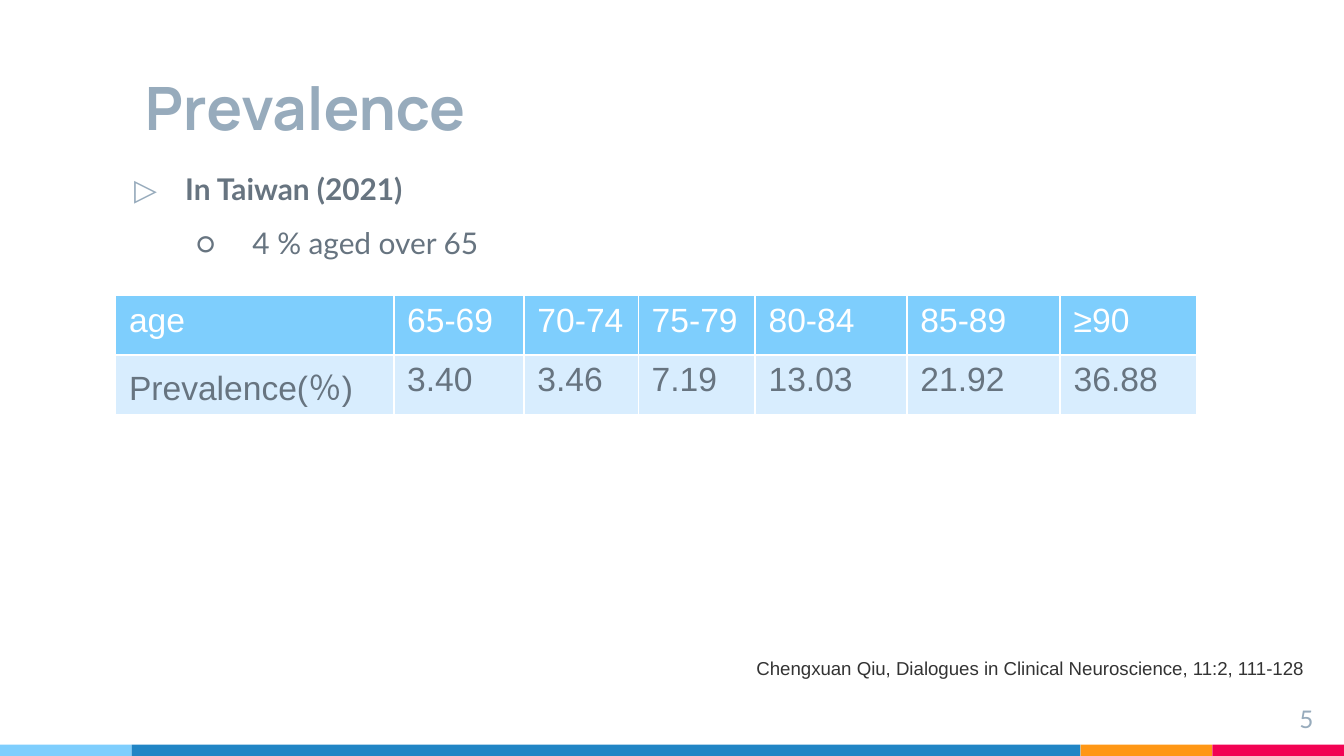
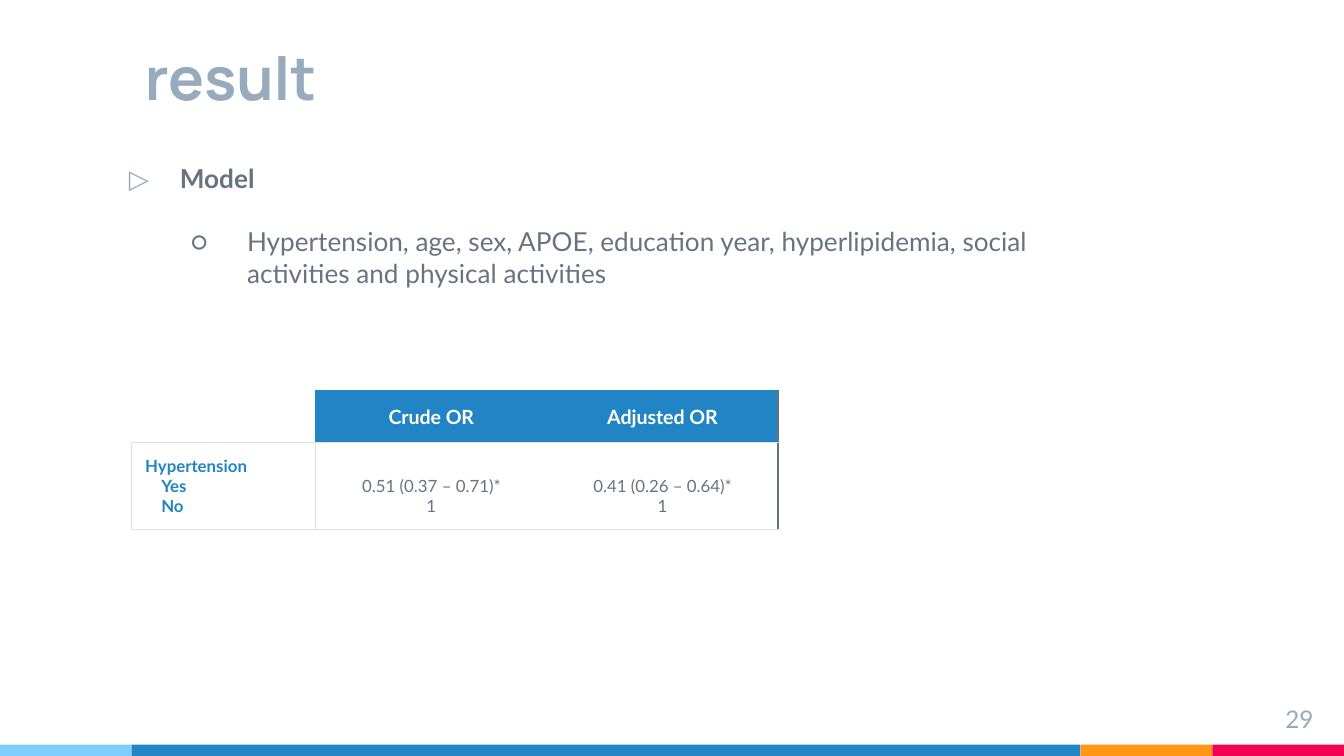
from dataclasses import dataclass
from lxml.etree import SubElement
from pptx import Presentation
from pptx.dml.color import RGBColor
from pptx.enum.shapes import MSO_SHAPE
from pptx.enum.text import MSO_ANCHOR, PP_ALIGN
from pptx.oxml.ns import qn
from pptx.util import Inches, Pt


@dataclass(frozen=True)
class Theme:
    """Colours, fonts and type sizes of the deck."""
    sky: str = "7ECEFD"
    pale: str = "D8EDFE"
    blue: str = "2185C5"
    orange: str = "FF9715"
    red: str = "F20253"
    heading: str = "97ABBC"
    text: str = "677480"
    citation: str = "333333"
    rule: str = "DEE2E6"
    white: str = "FFFFFF"
    title_font: str = "Manrope"
    body_font: str = "Lato"
    plain_font: str = "Arial"
    title_size: float = 32
    number_size: float = 13
    prevalence_outline_size: float = 16
    result_outline_size: float = 14
    prevalence_size: float = 18
    citation_size: float = 10
    odds_header_size: float = 10.5
    odds_size: float = 9


THEME = Theme()
SLIDE_WIDTH = 10
SLIDE_HEIGHT = SLIDE_WIDTH * 9 / 16
INSET = 0.1


def add_run(paragraph, text, font, size, color, bold=False):
    """Add one styled run to a paragraph."""
    run = paragraph.add_run()
    run.text = text
    run.font.name = font
    run.font.size = Pt(size)
    run.font.bold = bold
    run.font.color.rgb = RGBColor.from_string(color)


def set_margins(target, horizontal, vertical):
    """Set the inner margins of a text frame or cell."""
    target.margin_left = target.margin_right = Inches(horizontal)
    target.margin_top = target.margin_bottom = Inches(vertical)


def add_text_frame(slide, box, vertical_inset=INSET, anchor=MSO_ANCHOR.TOP):
    """Add a wrapping text box and return its text frame."""
    text_frame = slide.shapes.add_textbox(*map(Inches, box)).text_frame
    text_frame.word_wrap = True
    text_frame.vertical_anchor = anchor
    set_margins(text_frame, INSET, vertical_inset)
    return text_frame


def indent(paragraph, left, first_line=0):
    """Set the left margin and first line offset of a paragraph."""
    properties = paragraph._p.get_or_add_pPr()
    properties.set("marL", str(Inches(left)))
    properties.set("indent", str(Inches(first_line)))
    return properties


def add_bullet(paragraph, character, color, left, hanging):
    """Give a paragraph a coloured bullet with a hanging indent."""
    properties = indent(paragraph, left, -hanging)
    bullet_color = SubElement(properties, qn("a:buClr"))
    SubElement(bullet_color, qn("a:srgbClr"), val=color)
    SubElement(properties, qn("a:buFont"), typeface=THEME.body_font)
    SubElement(properties, qn("a:buChar"), char=character)


def style_cell(cell, fill_color, **borders):
    """Fill a cell and draw borders given as side=(color, points) or None."""
    properties = cell._tc.get_or_add_tcPr()
    for side in "LRTB":
        border = borders.get(side)
        if border:
            color, points = border
            line = SubElement(properties, qn(f"a:ln{side}"), w=str(Pt(points)))
            fill = SubElement(line, qn("a:solidFill"))
            SubElement(fill, qn("a:srgbClr"), val=color)
        else:
            line = SubElement(properties, qn(f"a:ln{side}"))
            SubElement(line, qn("a:noFill"))
    if fill_color:
        cell.fill.solid()
        cell.fill.fore_color.rgb = RGBColor.from_string(fill_color)
    else:
        cell.fill.background()


def add_plain_table(slide, left, top, widths, heights):
    """Add a table without banding and return it."""
    frame = slide.shapes.add_table(
        len(heights), len(widths), Inches(left), Inches(top),
        Inches(sum(widths)), Inches(sum(heights)))
    table = frame.table
    table.first_row = table.horz_banding = False
    for column, width in zip(table.columns, widths):
        column.width = Inches(width)
    for row, height in zip(table.rows, heights):
        row.height = Inches(height)
    return table


def add_color_band(slide, box):
    """Draw the four-colour strip along the foot of the slide."""
    left, top, width, height = box
    side = 0.98
    parts = ((THEME.sky, side), (THEME.blue, width - 3 * side),
             (THEME.orange, side), (THEME.red, side))
    for color, part_width in parts:
        shape = slide.shapes.add_shape(
            MSO_SHAPE.RECTANGLE, *map(Inches, (left, top, part_width, height)))
        shape.shadow.inherit = False
        shape.fill.solid()
        shape.fill.fore_color.rgb = RGBColor.from_string(color)
        shape.line.fill.background()
        left += part_width


def add_title(slide, box, title):
    """Place the slide title on the bottom edge of its box."""
    text_frame = add_text_frame(slide, box, anchor=MSO_ANCHOR.BOTTOM)
    add_run(text_frame.paragraphs[0], title, THEME.title_font,
            THEME.title_size, THEME.heading, True)


def add_slide_number(slide, box, number):
    """Place the right-aligned slide number."""
    paragraph = add_text_frame(slide, box).paragraphs[0]
    paragraph.alignment = PP_ALIGN.RIGHT
    add_run(paragraph, str(number), THEME.body_font,
            THEME.number_size, THEME.heading)


def add_outline(slide, box, topic, detail, size, line_spacing=1.0, gap=0):
    """Write a bold topic with one detail bullet below it."""
    text_frame = add_text_frame(slide, box)
    first, second = text_frame.paragraphs[0], text_frame.add_paragraph()
    second.level = 1
    for paragraph, space in ((first, 6), (second, gap)):
        paragraph.line_spacing = line_spacing
        paragraph.space_before = Pt(space)
    add_bullet(first, "▷", THEME.heading, 0.5, 0.38)
    add_bullet(second, "○", THEME.text, 1, 0.42)
    add_run(first, topic, THEME.body_font, size, THEME.text, True)
    add_run(second, detail, THEME.body_font, size, THEME.text)


def add_prevalence_table(slide, left, top):
    """Tabulate prevalence by age group."""
    rows = (("age", "65-69", "70-74", "75-79", "80-84", "85-89", "≥90"),
            ("Prevalence(％)", "3.40", "3.46", "7.19", "13.03", "21.92", "36.88"))
    styles = ((THEME.sky, THEME.white), (THEME.pale, THEME.text))
    table = add_plain_table(slide, left, top,
                            (2.07, 0.97, 0.85, 0.87, 1.13, 1.14, 1.02),
                            (0.44, 0.45))
    borders = dict.fromkeys("LRTB", (THEME.white, 1))
    for row, texts, (fill, color) in zip(table.rows, rows, styles):
        for cell, text in zip(row.cells, texts):
            set_margins(cell, 0.1, 0.05)
            style_cell(cell, fill, **borders)
            add_run(cell.text_frame.paragraphs[0], text, THEME.plain_font,
                    THEME.prevalence_size, color)


def write_odds_cell(cell, lines, size, color, bold, centred=True):
    """Write the lines of one odds ratio cell."""
    cell.vertical_anchor = MSO_ANCHOR.MIDDLE
    set_margins(cell, INSET, INSET)
    text_frame = cell.text_frame
    for index, line in enumerate(lines):
        paragraph = text_frame.add_paragraph() if index else text_frame.paragraphs[0]
        if centred:
            paragraph.alignment = PP_ALIGN.CENTER
        elif index:
            indent(paragraph, 0.12)
        add_run(paragraph, line, THEME.body_font, size, color, bold)


def add_odds_table(slide, left, top):
    """Tabulate crude and adjusted odds ratios."""
    rule, blue, edge = (THEME.rule, 0.75), (THEME.blue, 0.75), (THEME.text, 1)
    columns = (("Crude OR", ("0.51 (0.37 – 0.71)*", "1"), blue, rule, None),
               ("Adjusted OR", ("0.41 (0.26 – 0.64)*", "1"), None, None, edge))
    table = add_plain_table(slide, left, top, (1.37, 1.72, 1.72), (0.38, 0.65))

    corner, label = table.cell(0, 0), table.cell(1, 0)
    set_margins(corner, 0, 0)
    style_cell(corner, None, R=blue, B=rule)
    write_odds_cell(label, ("Hypertension", "Yes", "No"),
                    THEME.odds_size, THEME.blue, True, centred=False)
    style_cell(label, None, **dict.fromkeys("LRTB", rule))

    for index, (heading, values, header_left, body_left, right) in enumerate(columns, 1):
        header, body = table.cell(0, index), table.cell(1, index)
        write_odds_cell(header, (heading,), THEME.odds_header_size,
                        THEME.white, True)
        write_odds_cell(body, values, THEME.odds_size, THEME.text, False)
        body.margin_top = Inches(INSET + 0.15)
        style_cell(header, THEME.blue, L=header_left, R=right, T=blue, B=rule)
        style_cell(body, None, L=body_left, R=right, T=rule, B=rule)


def add_citation(slide, box, text):
    """Write the source of the figures."""
    paragraph = add_text_frame(slide, box, vertical_inset=0.05).paragraphs[0]
    add_run(paragraph, text, THEME.plain_font, THEME.citation_size, THEME.citation)


def add_base_slide(presentation, title, title_top, number):
    """Add a blank slide with the shared band, title and number."""
    slide = presentation.slides.add_slide(presentation.slide_layouts[6])
    add_color_band(slide, (0, 5.54, SLIDE_WIDTH, SLIDE_HEIGHT - 5.54))
    add_title(slide, (0.98, title_top, 7.07, 0.94), title)
    add_slide_number(slide, (9.27, 5.14, 0.6, 0.34), number)
    return slide


def add_prevalence_slide(presentation):
    """Build the prevalence slide."""
    slide = add_base_slide(presentation, "Prevalence", 0.22, 5)
    add_outline(slide, (0.78, 1.04, 7.76, 1.93), "In Taiwan (2021)",
                "4 % aged over 65", THEME.prevalence_outline_size,
                line_spacing=1.5)
    add_prevalence_table(slide, 0.86, 2.2)
    add_citation(slide, (5.53, 4.84, 4.35, 0.45),
                 "Chengxuan Qiu, Dialogues in Clinical Neuroscience, 11:2, 111-128")


def add_result_slide(presentation):
    """Build the result slide."""
    slide = add_base_slide(presentation, "result", 0, 29)
    add_odds_table(slide, 0.98, 2.91)
    add_outline(slide, (0.74, 1.11, 7.76, 1.93), "Model",
                "Hypertension, age, sex, APOE, education year, hyperlipidemia, "
                "social activities and physical activities",
                THEME.result_outline_size, gap=17)


def main():
    """Build and save the presentation."""
    presentation = Presentation()
    presentation.slide_width = Inches(SLIDE_WIDTH)
    presentation.slide_height = Inches(SLIDE_HEIGHT)
    add_prevalence_slide(presentation)
    add_result_slide(presentation)
    presentation.save("out.pptx")


if __name__ == "__main__":
    main()
